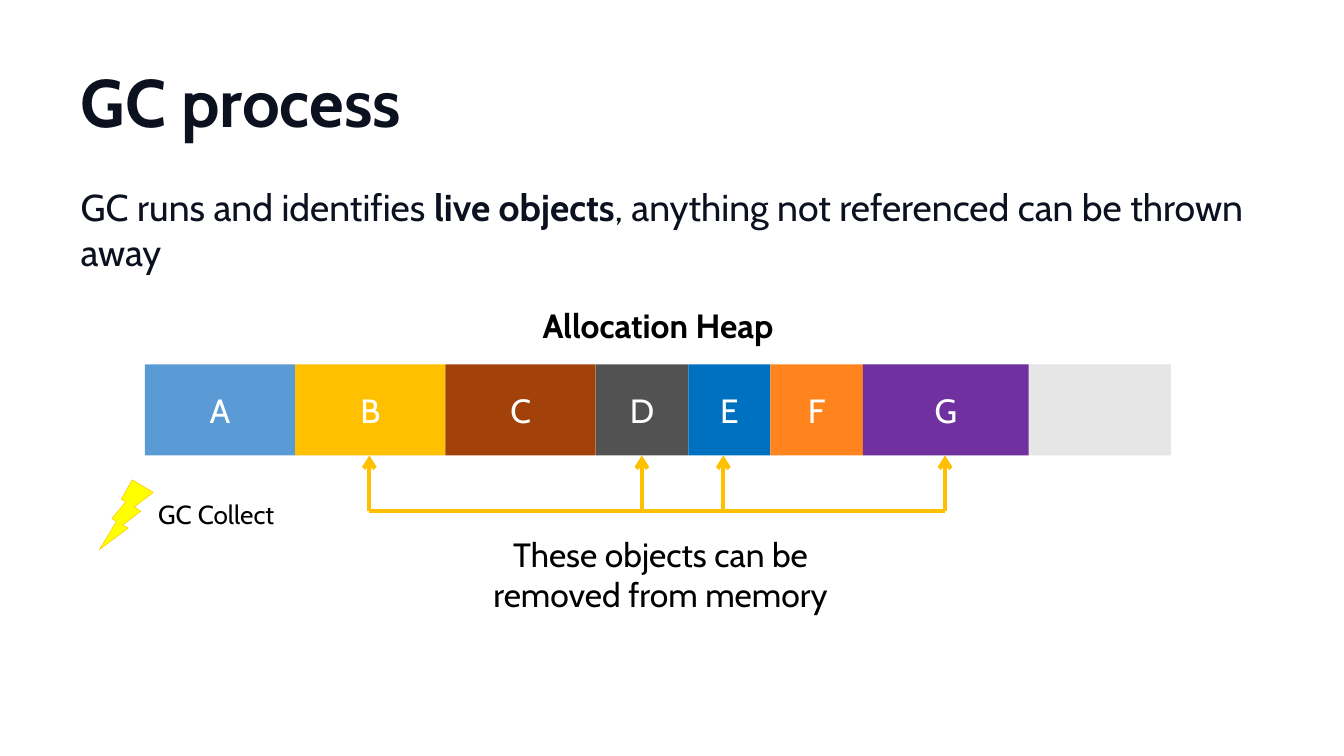
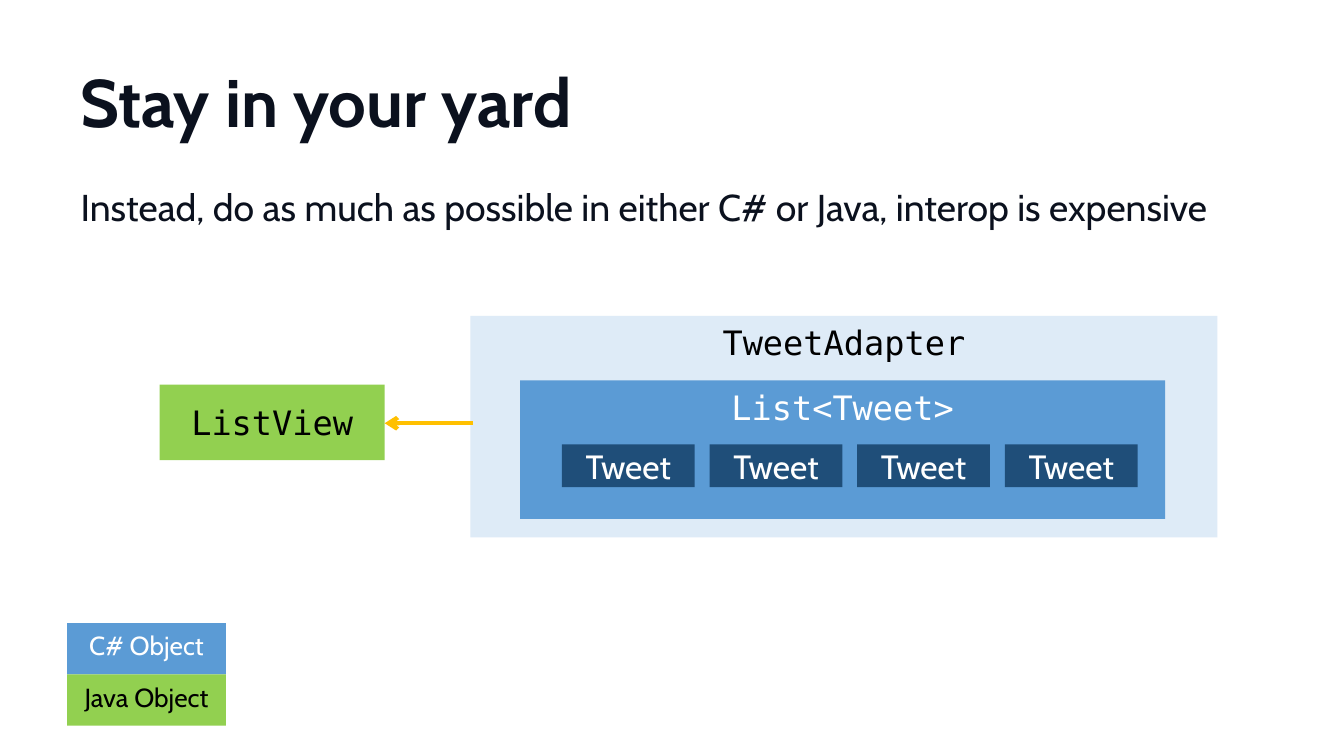
from dataclasses import dataclass

import lxml.etree
import pptx
import pptx.dml.color
import pptx.enum.shapes
import pptx.enum.text
import pptx.oxml.ns
import pptx.util

Cm = pptx.util.Cm
Pt = pptx.util.Pt
RGBColor = pptx.dml.color.RGBColor
Shape = pptx.enum.shapes.MSO_SHAPE
Anchor = pptx.enum.text.MSO_ANCHOR
Align = pptx.enum.text.PP_ALIGN
AutoSize = pptx.enum.text.MSO_AUTO_SIZE
qn = pptx.oxml.ns.qn

# Shared style
SANS = "Cabin"
MONO = "DejaVu Sans Mono"
INK = RGBColor(0x0B, 0x11, 0x1E)
BLACK = RGBColor(0x00, 0x00, 0x00)
WHITE = RGBColor(0xFF, 0xFF, 0xFF)
BLUE = RGBColor(0x5B, 0x9B, 0xD5)
PALE_BLUE = RGBColor(0xDE, 0xEB, 0xF7)
NAVY = RGBColor(0x1F, 0x4E, 0x79)
DEEP_BLUE = RGBColor(0x00, 0x70, 0xC0)
GOLD = RGBColor(0xFF, 0xC0, 0x00)
BROWN = RGBColor(0xA2, 0x41, 0x09)
GRAPHITE = RGBColor(0x52, 0x52, 0x52)
ORANGE = RGBColor(0xFF, 0x84, 0x1D)
PURPLE = RGBColor(0x70, 0x30, 0xA0)
LIGHT_GRAY = RGBColor(0xE7, 0xE6, 0xE6)
YELLOW = RGBColor(0xFF, 0xFF, 0x00)
GREEN = RGBColor(0x92, 0xD0, 0x50)


@dataclass(frozen=True)
class Area:
    """A rectangle in centimetres."""
    left: float
    top: float
    width: float
    height: float

    def lengths(self) -> tuple:
        return Cm(self.left), Cm(self.top), Cm(self.width), Cm(self.height)


@dataclass(frozen=True)
class TextStyle:
    size: float
    color: RGBColor = BLACK
    font: str = SANS
    bold: bool = False
    align: Align = Align.CENTER


@dataclass(frozen=True)
class Block:
    """A filled rectangle with an optional label."""
    area: Area
    fill: RGBColor
    label: str = ""
    style: TextStyle = TextStyle(18, WHITE)
    anchor: Anchor = Anchor.MIDDLE


@dataclass(frozen=True)
class HeapSlot:
    label: str
    width: float
    fill: RGBColor


TITLE_AREA = Area(1.27, 0.71, 22.86, 2.39)
BODY_AREA = Area(1.27, 3.35, 22.86, 3.15)
TITLE_STYLE = TextStyle(36, INK, bold=True, align=Align.LEFT)
BODY_STYLE = TextStyle(20, INK, align=Align.LEFT)


def write(frame, text: str, style: TextStyle) -> None:
    """Fill the first paragraph; parts between ** marks are bold."""
    paragraph = frame.paragraphs[0]
    paragraph.alignment = style.align
    for index, part in enumerate(text.split("**")):
        run = paragraph.add_run()
        run.text = part
        run.font.name = style.font
        run.font.size = Pt(style.size)
        run.font.bold = style.bold or index % 2 == 1
        run.font.color.rgb = style.color


def place(placeholder, area: Area, anchor: Anchor):
    placeholder.left, placeholder.top, placeholder.width, placeholder.height = area.lengths()
    frame = placeholder.text_frame
    frame.word_wrap = True
    frame.auto_size = AutoSize.NONE
    frame.vertical_anchor = anchor
    return frame


def add_content_slide(deck, title: str, body: str):
    slide = deck.slides.add_slide(deck.slide_layouts.get_by_name("Title and Content"))
    write(place(slide.shapes.title, TITLE_AREA, Anchor.MIDDLE), title, TITLE_STYLE)
    body_frame = place(slide.placeholders[1], BODY_AREA, Anchor.TOP)
    paragraph = body_frame.paragraphs[0]
    properties = paragraph._p.get_or_add_pPr()
    properties.set("marL", "0")
    properties.set("indent", "0")
    lxml.etree.SubElement(properties, qn("a:buNone"))
    paragraph.space_before = Pt(0)
    write(body_frame, body, BODY_STYLE)
    return slide


def draw_block(slide, block: Block) -> None:
    rectangle = slide.shapes.add_shape(Shape.RECTANGLE, *block.area.lengths())
    rectangle.shadow.inherit = False
    rectangle.fill.solid()
    rectangle.fill.fore_color.rgb = block.fill
    rectangle.line.fill.background()
    if block.label:
        rectangle.text_frame.word_wrap = True
        rectangle.text_frame.vertical_anchor = block.anchor
        write(rectangle.text_frame, block.label, block.style)


def draw_caption(slide, area: Area, text: str, style: TextStyle) -> None:
    frame = slide.shapes.add_textbox(*area.lengths()).text_frame
    frame.word_wrap = True
    frame.auto_size = AutoSize.SHAPE_TO_FIT_TEXT
    write(frame, text, style)


def draw_line(slide, start: tuple[float, float], end: tuple[float, float],
              arrow: bool = True) -> None:
    connector = slide.shapes.add_connector(
        pptx.enum.shapes.MSO_CONNECTOR.STRAIGHT,
        Cm(start[0]), Cm(start[1]), Cm(end[0]), Cm(end[1]))
    connector.line.color.rgb = GOLD
    connector.line.width = Pt(2.25)
    if arrow:
        lxml.etree.SubElement(connector.line._get_or_add_ln(), qn("a:tailEnd"), type="arrow")
    lxml.etree.SubElement(connector.element.spPr, qn("a:effectLst"))


def build_gc_process(deck) -> None:
    slide = add_content_slide(
        deck, "GC process",
        "GC runs and identifies **live objects**, anything not referenced can be thrown away")

    # Allocation heap: free space behind, then objects side by side
    heap_top, heap_height = 6.89, 1.72
    draw_block(slide, Block(Area(16.31, heap_top, 5.82, heap_height), LIGHT_GRAY))
    draw_caption(slide, Area(9.02, 5.64, 6.83, 1.02), "Allocation Heap",
                 TextStyle(18, bold=True))
    slots = [
        HeapSlot("A", 2.84, BLUE),
        HeapSlot("B", 2.84, GOLD),
        HeapSlot("C", 2.84, BROWN),
        HeapSlot("D", 1.75, GRAPHITE),
        HeapSlot("E", 1.55, DEEP_BLUE),
        HeapSlot("F", 1.75, ORANGE),
        HeapSlot("G", 3.13, PURPLE),
    ]
    slot_left = 2.74
    for slot in slots:
        draw_block(slide, Block(Area(slot_left, heap_top, slot.width, heap_height),
                                slot.fill, slot.label))
        slot_left += slot.width

    # Collection trigger
    bolt = slide.shapes.add_shape(Shape.LIGHTNING_BOLT, *Area(1.88, 9.07, 1.02, 1.32).lengths())
    bolt.shadow.inherit = False
    bolt.fill.solid()
    bolt.fill.fore_color.rgb = YELLOW
    bolt.line.color.rgb = GOLD
    bolt.line.width = Pt(0.25)
    bolt.element.spPr.find(qn("a:xfrm")).set("flipH", "1")
    draw_caption(slide, Area(2.74, 9.3, 3.35, 0.86), "GC Collect",
                 TextStyle(14, align=Align.LEFT))

    # Bracket pointing at the removable objects
    draw_caption(slide, Area(8.61, 9.96, 7.75, 1.8),
                 "These objects can be removed from memory", TextStyle(18))
    bracket_y = 9.66
    removable_xs = [6.98, 12.13, 13.67, 17.86]
    for x in removable_xs:
        draw_line(slide, (x, bracket_y), (x, heap_top + heap_height))
    draw_line(slide, (removable_xs[0], bracket_y), (removable_xs[-1], bracket_y), arrow=False)


def build_stay_in_yard(deck) -> None:
    slide = add_content_slide(
        deck, "Stay in your yard",
        "Instead, do as much as possible in either C# or Java, interop is expensive")

    # Legend
    legend = [("C# Object", BLUE, WHITE), ("Java Object", GREEN, BLACK)]
    for row, (label, fill, color) in enumerate(legend):
        draw_block(slide, Block(Area(1.27, 11.78 + row * 0.97, 3, 0.97), fill, label,
                                TextStyle(14, color), Anchor.TOP))

    # Adapter with its list of items
    code_dark = TextStyle(18, BLACK, MONO)
    code_light = TextStyle(18, WHITE, MONO)
    draw_block(slide, Block(Area(8.89, 5.97, 14.12, 4.19), PALE_BLUE, "TweetAdapter",
                            code_dark, Anchor.TOP))
    draw_block(slide, Block(Area(9.83, 7.19, 12.19, 2.62), BLUE, "List<Tweet>",
                            code_light, Anchor.TOP))
    for column in range(4):
        draw_block(slide, Block(Area(10.62 + column * 2.79, 8.4, 2.51, 0.81), NAVY, "Tweet"))

    # View fed by the adapter
    draw_block(slide, Block(Area(3.02, 7.27, 4.25, 1.43), GREEN, "ListView", code_dark))
    draw_line(slide, (8.94, 8), (7.27, 8))


def main() -> None:
    deck = pptx.Presentation()
    deck.slide_width = Cm(25.4)
    deck.slide_height = Cm(14.29)
    build_gc_process(deck)
    build_stay_in_yard(deck)
    deck.save("out.pptx")


if __name__ == "__main__":
    main()
